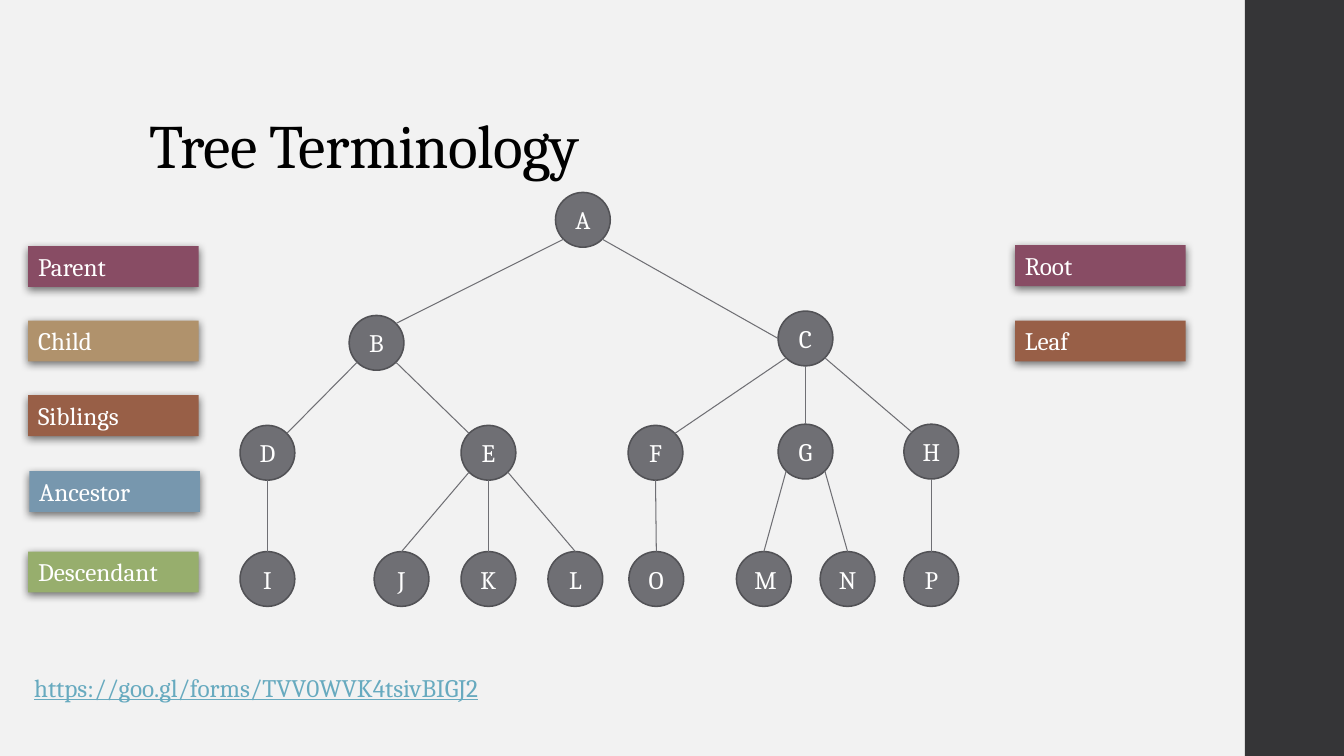
from lxml import etree
from pptx import Presentation
from pptx.dml.color import RGBColor
from pptx.enum import shapes, text
from pptx.oxml.ns import qn
from pptx.util import Cm, Pt

TITLE = "Tree Terminology"
FORM_URL = "https://goo.gl/forms/TVV0WVK4tsivBIGJ2"
FONT = "Cambria"
COLORS = {
    "background": "F2F2F2", "sidebar": "353537", "node": "6F6F74",
    "outline": "525256", "white": "FFFFFF", "black": "000000", "url": "67AABF",
    "plum": "884C64", "sand": "B0926C", "rust": "985F47",
    "blue": "7797AE", "green": "97AE6D",
}
LEFT_TERMS, RIGHT_TERMS = 0.71, 25.58
TERMS = [
    ("Parent", "plum", LEFT_TERMS, 6.2),
    ("Child", "sand", LEFT_TERMS, 8.08),
    ("Siblings", "rust", LEFT_TERMS, 9.96),
    ("Ancestor", "blue", LEFT_TERMS + 0.03, 11.87),
    ("Descendant", "green", LEFT_TERMS, 13.9),
    ("Root", "plum", RIGHT_TERMS, 6.18),
    ("Leaf", "rust", RIGHT_TERMS, 8.08),
]
LEAF_Y = 14.59
NODES = {
    "A": (14.69, 5.54), "B": (9.49, 8.64), "C": (20.3, 8.53),
    "D": (6.74, 11.41), "E": (12.31, 11.41), "F": (16.52, 11.41),
    "G": (20.3, 11.38), "H": (23.47, 11.38),
    "I": (6.74, LEAF_Y), "J": (10.12, LEAF_Y), "K": (12.31, LEAF_Y),
    "L": (14.5, LEAF_Y), "O": (16.54, LEAF_Y), "M": (19.25, LEAF_Y),
    "N": (21.36, LEAF_Y), "P": (23.47, LEAF_Y),
}
EDGES = [
    ("A", "B", "SW", "NE"), ("A", "C", "SE", "W"),
    ("B", "D", "SW", "NE"), ("B", "E", "SE", "NW"),
    ("D", "I", "S", "N"), ("E", "K", "S", "N"),
    ("E", "J", "SW", "N"), ("E", "L", "SE", "N"),
    ("F", "O", "S", "N"), ("C", "G", "S", "N"),
    ("C", "F", "SW", "NE"), ("C", "H", "SE", "NW"),
    ("H", "P", "S", "N"), ("G", "M", "SW", "N"), ("G", "N", "SE", "N"),
]
DIAMETER = 1.38
RADIUS = DIAMETER / 2
DIAGONAL = 0.5 ** 0.5


def rgb(name):
    return RGBColor.from_string(COLORS[name])


def write(frame, words, size, color, align=text.PP_ALIGN.LEFT):
    paragraph = frame.paragraphs[0]
    paragraph.alignment = align
    run = paragraph.add_run()
    run.text = words
    run.font.name = FONT
    run.font.size = Pt(size)
    run.font.color.rgb = rgb(color)
    return run


def add_block(kind, left, top, width, height, fill):
    block = slide.shapes.add_shape(kind, Cm(left), Cm(top), Cm(width), Cm(height))
    block.shadow.inherit = False
    block.fill.solid()
    block.fill.fore_color.rgb = rgb(fill)
    block.line.fill.background()
    return block


def rim_point(node, side):
    x, y = NODES[node]
    reach = RADIUS * (DIAGONAL if len(side) == 2 else 1)
    return (Cm(x + reach * (("E" in side) - ("W" in side))),
            Cm(y + reach * (("S" in side) - ("N" in side))))


def add_soft_shadow(block):
    effects = block._element.spPr.find(qn("a:effectLst"))
    shadow = etree.SubElement(effects, qn("a:outerShdw"), blurRad=str(Pt(6)),
                              dist=str(Pt(2)), dir="5400000", rotWithShape="0")
    shade = etree.SubElement(shadow, qn("a:srgbClr"), val=COLORS["black"])
    etree.SubElement(shade, qn("a:alpha"), val="55000")


deck = Presentation()
deck.slide_width, deck.slide_height = Cm(33.87), Cm(19.05)
slide = deck.slides.add_slide(deck.slide_layouts[5])
slide.background.fill.solid()
slide.background.fill.fore_color.rgb = rgb("background")
add_block(shapes.MSO_SHAPE.RECTANGLE, 31.37, 0, 2.5, 19.05, "sidebar")

for letter, (x, y) in NODES.items():
    node = add_block(shapes.MSO_SHAPE.OVAL, x - RADIUS, y - RADIUS,
                     DIAMETER, DIAMETER, "node")
    node.line.color.rgb = rgb("outline")
    node.line.width = Pt(1.1)
    node.text_frame.vertical_anchor = text.MSO_ANCHOR.MIDDLE
    write(node.text_frame, letter, 18, "white", text.PP_ALIGN.CENTER)

for parent, child, parent_side, child_side in EDGES:
    edge = slide.shapes.add_connector(
        shapes.MSO_CONNECTOR.STRAIGHT,
        *rim_point(parent, parent_side), *rim_point(child, child_side))
    edge.line.color.rgb = rgb("node")
    edge.line.width = Pt(0.75)
    etree.SubElement(edge._element.spPr, qn("a:effectLst"))

for term, color, left, top in TERMS:
    label = add_block(shapes.MSO_SHAPE.RECTANGLE, left, top, 4.3, 1.03, color)
    add_soft_shadow(label)
    label.text_frame.vertical_anchor = text.MSO_ANCHOR.TOP
    write(label.text_frame, term, 18, "white")

title = slide.shapes.title
title.left, title.top, title.width, title.height = Cm(3.51), Cm(1.02), Cm(26.92), Cm(3.68)
title.text_frame.vertical_anchor = text.MSO_ANCHOR.BOTTOM
title.text_frame.paragraphs[0].line_spacing = 0.9
heading = write(title.text_frame, TITLE, 44, "black")
heading.font._element.set("spc", "-50")

form_box = slide.shapes.add_textbox(Cm(0.61), Cm(16.81), Cm(13.03), Cm(1.8))
form_box.text_frame.word_wrap = True
write(form_box.text_frame, FORM_URL, 18, "url").font.underline = True

deck.save("out.pptx")
